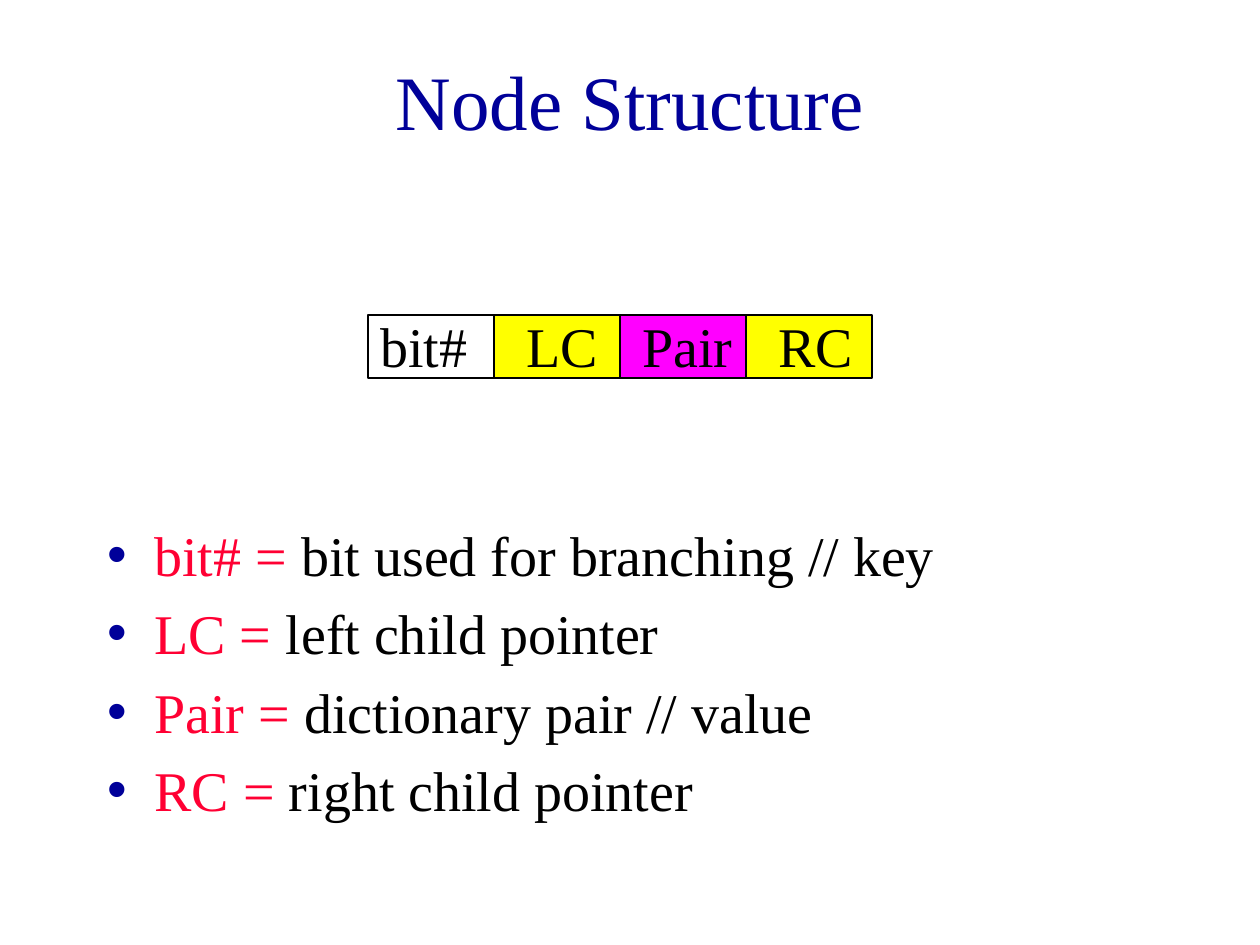
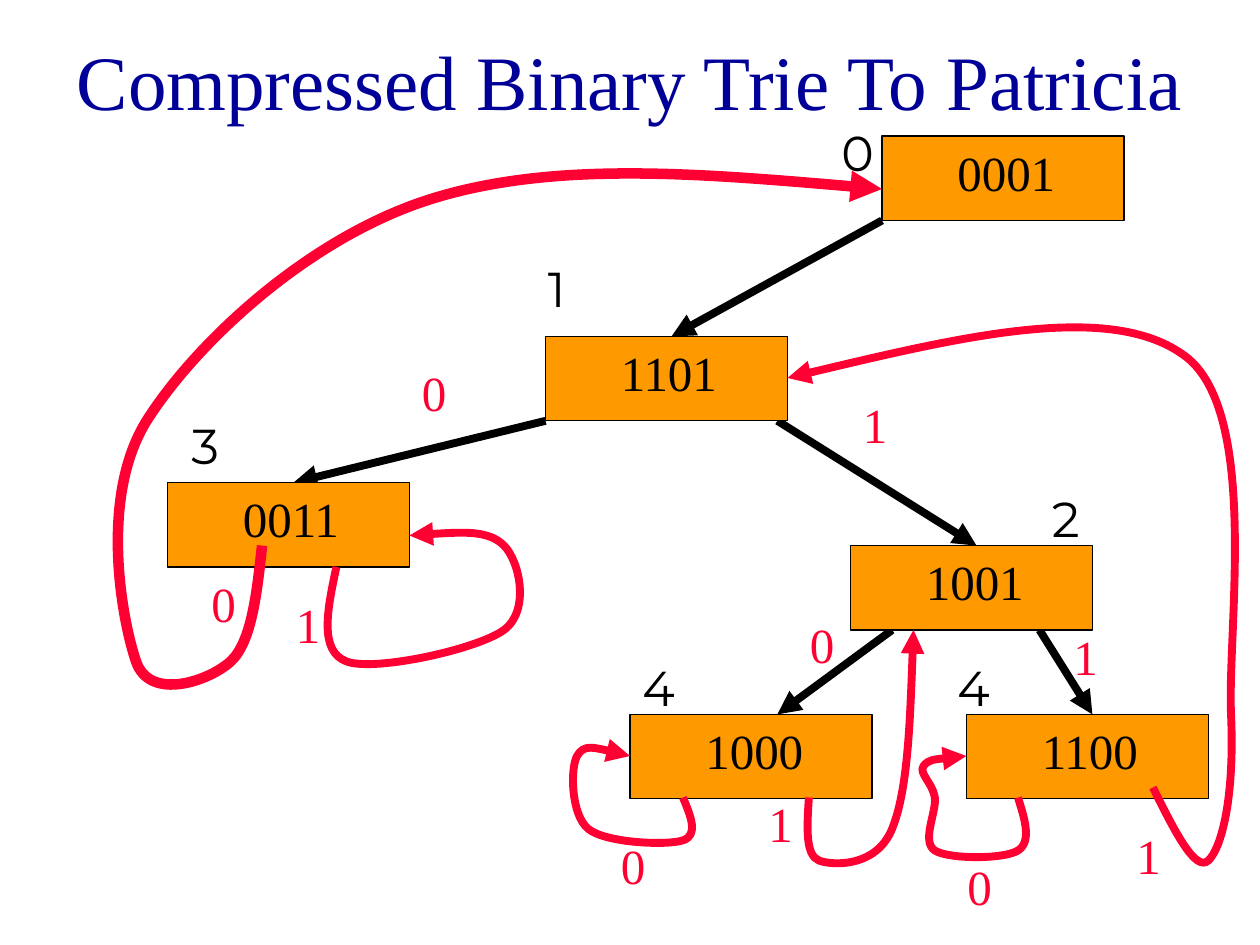
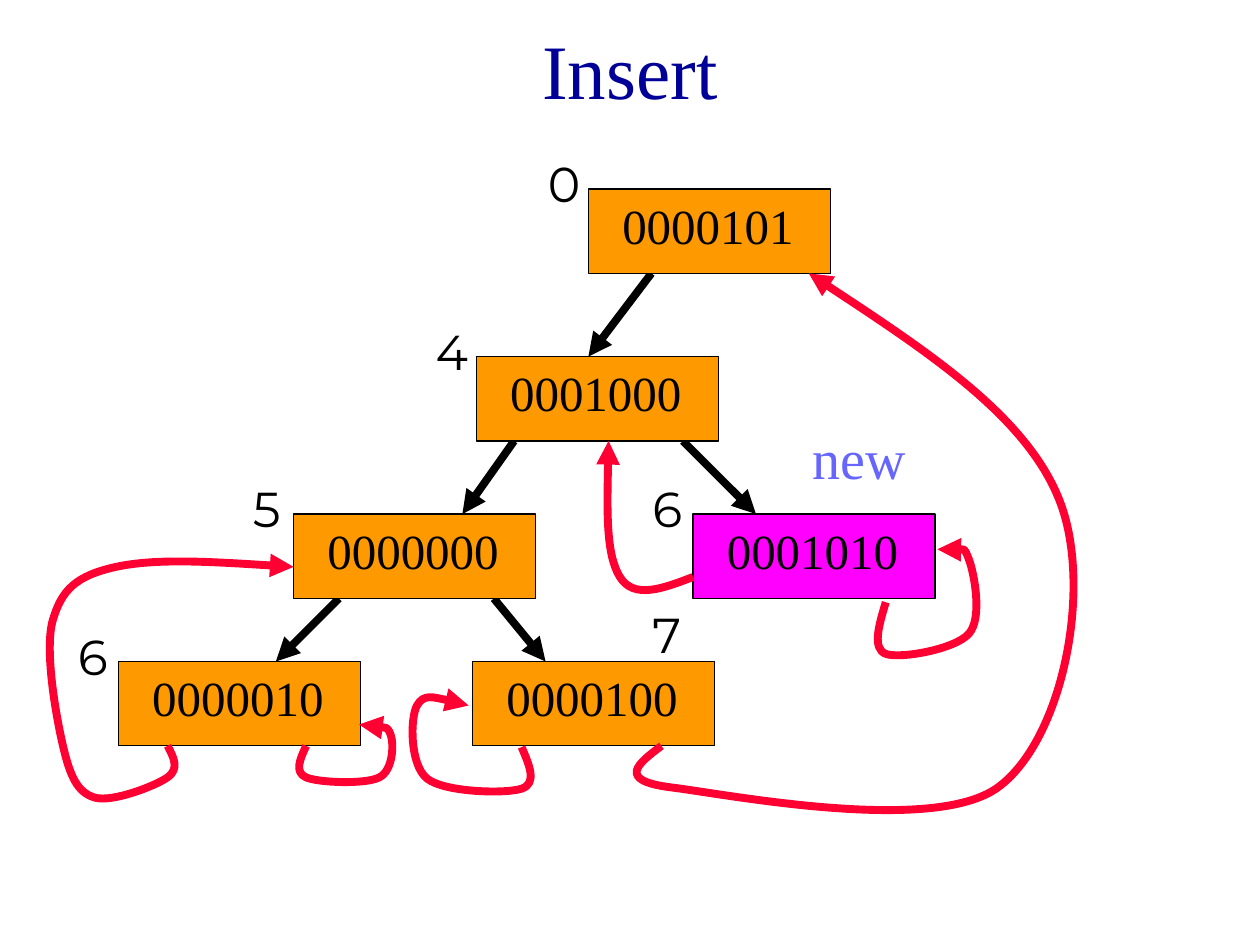
from lxml.etree import SubElement
from pptx import Presentation
from pptx.dml.color import RGBColor
from pptx.enum.shapes import MSO_CONNECTOR, MSO_SHAPE
from pptx.enum.text import MSO_ANCHOR, MSO_AUTO_SIZE, PP_ALIGN
from pptx.oxml.ns import qn
from pptx.util import Inches, Pt

# Shared style
SERIF, SANS = "Times New Roman", "Montserrat"
NAVY, RED, BLACK, WHITE = "000099", "FF0033", "000000", "FFFFFF"
ORANGE, MAGENTA, YELLOW, BLUE = "FF9900", "FF00FF", "FFFF00", "6666FF"
BIT_COLOR = "010000"
SLIDE_WIDTH = 10
NODE_WIDTH, NODE_HEIGHT = 1.92, 0.67
EDGE_WIDTH = 4.5


def add_label(slide, text, left, top, width, size=28, color=BLACK, font=SERIF):
    box = slide.shapes.add_textbox(Inches(left), Inches(top), Inches(width), Inches(size / 50))
    box.text_frame.word_wrap = True
    run = box.text_frame.paragraphs[0].add_run()
    run.text = text
    run.font.size = Pt(size)
    run.font.name = font
    run.font.color.rgb = RGBColor.from_string(color)


def add_box(slide, left, top, width, height, fill, line_width):
    box = slide.shapes.add_shape(
        MSO_SHAPE.RECTANGLE, Inches(left), Inches(top), Inches(width), Inches(height))
    box.shadow.inherit = False
    box.fill.solid()
    box.fill.fore_color.rgb = RGBColor.from_string(fill)
    box.line.color.rgb = RGBColor.from_string(BLACK)
    box.line.width = Pt(line_width)


presentation = Presentation()
presentation.slide_width = Inches(SLIDE_WIDTH)
presentation.slide_height = Inches(7.5)

# Slides with their centred titles: layout, text, width, height
TITLES = [
    (1, "Node Structure", 8.5, 1.25),
    (5, "Compressed Binary Trie To Patricia", 10, 0.92),
    (5, "Insert", 8.5, 0.75),
]
slides = []
for layout, text, width, height in TITLES:
    slide = presentation.slides.add_slide(presentation.slide_layouts[layout])
    title = slide.shapes.title
    title.left, title.top = Inches((SLIDE_WIDTH - width) / 2), Inches(0.17)
    title.width, title.height = Inches(width), Inches(height)
    title.text_frame.auto_size = MSO_AUTO_SIZE.NONE
    title.text_frame.vertical_anchor = MSO_ANCHOR.MIDDLE
    paragraph = title.text_frame.paragraphs[0]
    paragraph.alignment = PP_ALIGN.CENTER
    run = paragraph.add_run()
    run.text = text
    run.font.size = Pt(44)
    run.font.name = SERIF
    run.font.color.rgb = RGBColor.from_string(NAVY)
    slides.append(slide)
structure_slide, patricia_slide, insert_slide = slides

# Node structure: list of fields
FIELDS = [
    ("bit# =", " bit used for branching // key"),
    ("LC =", " left child pointer"),
    ("Pair =", " dictionary pair // value"),
    ("RC =", " right child pointer"),
]
body = structure_slide.placeholders[1]
body.left, body.top, body.width, body.height = map(Inches, (0.75, 4.08, 8.5, 2.58))
body.text_frame.auto_size = MSO_AUTO_SIZE.NONE
for index, (field, meaning) in enumerate(FIELDS):
    paragraph = body.text_frame.add_paragraph() if index else body.text_frame.paragraphs[0]
    bullet_color = SubElement(paragraph._p.get_or_add_pPr(), qn("a:buClr"))
    SubElement(bullet_color, qn("a:srgbClr"), val=NAVY)
    for text, color in ((field, RED), (meaning, BLACK)):
        run = paragraph.add_run()
        run.text = text
        run.font.size = Pt(32)
        run.font.name = SERIF
        run.font.color.rgb = RGBColor.from_string(color)

# Node structure: row of cells (text, fill, text offset)
CELLS = [("bit#", WHITE, 0), ("LC", YELLOW, 0.16), ("Pair", MAGENTA, 0.08), ("RC", YELLOW, 0.16)]
for index, (text, fill, offset) in enumerate(CELLS):
    left = 2.92 + index
    add_box(structure_slide, left, 2.5, 1, 0.5, fill, 1)
    add_label(structure_slide, text, left + offset, 2.42, 1, 32)

# Tries: nodes (left, top, bit number and its offset from the node),
# child arrows (parent, x, child, x), points that the back pointers pass through
BIT_OFFSET = (-0.42, -0.33)
TRIES = [
    {
        "slide": patricia_slide,
        "key_offset": 0.5,
        "nodes": {
            "0001": (7, 1.08, "0", (-0.42, -0.16)),
            "1101": (4.33, 2.67, "1", (-0.08, -0.67)),
            "0011": (1.33, 3.83, "3", (0.09, -0.58)),
            "1001": (6.75, 4.33, "2", (1.5, -0.5)),
            "1000": (5, 5.67, "4", (0, -0.5)),
            "1100": (7.67, 5.67, "4", (-0.17, -0.5)),
        },
        "arrows": [
            ("0001", 7, "1101", 5.33), ("1101", 4.33, "0011", 2.33),
            ("1101", 6.17, "1001", 7.75), ("1001", 7.08, "1000", 6.17),
            ("1001", 8.25, "1100", 8.67),
        ],
        "branches": {
            "0": [(3.25, 2.83), (1.58, 4.5), (4.83, 6.58), (6.33, 4.83), (7.58, 6.75)],
            "1": [(6.75, 3.08), (6, 6.25), (2.25, 4.67), (8.92, 6.5), (8.42, 4.92)],
        },
        "first_pointer_width": 6,
        "pointers": [
            [(2.08, 4.33), (1.83, 5.25), (1.08, 5.25), (1.17, 3.33), (3.42, 1.58), (7, 1.5)],
            [(9.15, 6.25), (9.59, 6.83), (9.77, 5.67), (9.41, 2.83), (6.25, 3)],
            [(2.67, 4.5), (2.75, 5.25), (4, 5), (4, 4.33), (3.25, 4.25)],
            [(8.08, 6.33), (8.08, 6.75), (7.42, 6.75), (7.42, 6.33), (7.33, 6.08), (7.67, 6)],
            [(6.42, 6.33), (6.5, 6.83), (7.08, 6.58), (7.25, 5)],
            [(5.42, 6.33), (5.42, 6.67), (4.67, 6.58), (4.58, 6), (5, 6)],
        ],
    },
    {
        "slide": insert_slide,
        "key_offset": 0.17,
        "nodes": {
            "0000101": (4.67, 1.5, "0", BIT_OFFSET),
            "0001000": (3.78, 2.83, "4", BIT_OFFSET),
            "0000000": (2.33, 4.08, "5", BIT_OFFSET),
            "0001010": (5.5, 4.08, "6", BIT_OFFSET),
            "0000010": (0.94, 5.25, "6", BIT_OFFSET),
            "0000100": (3.75, 5.25, "7", (1.33, -0.5)),
        },
        "arrows": [
            ("0000101", 5.17, "0001000", 4.67), ("0001000", 4.08, "0000000", 3.67),
            ("0001000", 5.42, "0001010", 6), ("0000000", 2.69, "0000010", 2.19),
            ("0000000", 3.92, "0000100", 4.33),
        ],
        "branches": {},
        "first_pointer_width": EDGE_WIDTH,
        "pointers": [
            [(7.03, 4.78), (7.03, 5.19), (7.69, 5.03), (7.69, 4.44), (7.44, 4.36)],
            [(2.43, 5.92), (2.43, 6.17), (3.01, 6.17), (3.1, 5.83), (2.85, 5.75)],
            [(1.33, 5.92), (1.33, 6.17), (0.75, 6.33), (0.5, 5.92), (0.42, 4.92),
             (0.92, 4.5), (2.33, 4.5)],
            [(4.14, 5.93), (4.14, 6.26), (3.39, 6.18), (3.31, 5.6), (3.72, 5.6)],
            [(5.25, 5.92), (5.33, 6.25), (7.92, 6.25), (8.42, 4), (6.42, 2.17)],
            [(5.5, 4.58), (4.92, 4.58), (4.83, 3.5)],
        ],
    },
]

for trie in TRIES:
    slide, nodes = trie["slide"], trie["nodes"]
    edges = []

    # Child arrows run from the bottom of the parent to the top of the child
    for parent, start_x, child, end_x in trie["arrows"]:
        arrow = slide.shapes.add_connector(
            MSO_CONNECTOR.STRAIGHT, Inches(start_x), Inches(nodes[parent][1] + NODE_HEIGHT),
            Inches(end_x), Inches(nodes[child][1]))
        edges.append((arrow, BLACK, EDGE_WIDTH))

    # Nodes with keys and bit numbers
    for key, (left, top, bit, (bit_x, bit_y)) in nodes.items():
        fill = MAGENTA if key == "0001010" else ORANGE
        add_box(slide, left, top, NODE_WIDTH, NODE_HEIGHT, fill, 0.75)
        add_label(slide, key, left + trie["key_offset"], top, 0.25 * len(key) + 0.17)
        add_label(slide, bit, left + bit_x, top + bit_y, 0.67, color=BIT_COLOR, font=SANS)

    # Back pointers: smooth curves whose tangents follow the neighbouring points
    for index, points in enumerate(trie["pointers"]):
        handles = []
        for before, point, after in zip(points, points[1:], points[2:]):
            step = [(b - a) / 6 for a, b in zip(before, after)]
            incoming = [p - s for p, s in zip(point, step)]
            outgoing = [p + s for p, s in zip(point, step)]
            handles += [incoming, point, outgoing]
        first = [(a + b) / 2 for a, b in zip(points[0], handles[0])]
        last = [(a + b) / 2 for a, b in zip(points[-1], handles[-1])]
        corners = [(Inches(x), Inches(y)) for x, y in [points[0], first, *handles, last, points[-1]]]
        builder = slide.shapes.build_freeform(*corners[0])
        builder.add_line_segments(corners[1:], close=False)
        pointer = builder.convert_to_shape()
        pointer.fill.background()

        # Every three points after the start become one Bezier segment
        segments = list(pointer._element.iter(qn("a:lnTo")))
        for curve, *others in zip(segments[::3], segments[1::3], segments[2::3]):
            curve.tag = qn("a:cubicBezTo")
            for segment in others:
                curve.append(segment[0])
                segment.getparent().remove(segment)
        edges.append((pointer, RED, EDGE_WIDTH if index else trie["first_pointer_width"]))

    # Line style, arrowhead and no shadow for all edges
    for edge, color, width in edges:
        edge.line.color.rgb = RGBColor.from_string(color)
        edge.line.width = Pt(width)
        properties = edge._element.spPr
        SubElement(properties.find(qn("a:ln")), qn("a:tailEnd"), type="triangle")
        SubElement(properties, qn("a:effectLst"))

    # Branch labels
    for text, positions in trie["branches"].items():
        for left, top in positions:
            add_label(slide, text, left, top, 0.5, color=RED)

# Caption of the inserted node
add_label(insert_slide, "new", 6.35, 3.31, 1.83, 32, BLUE)

presentation.save("out.pptx")
